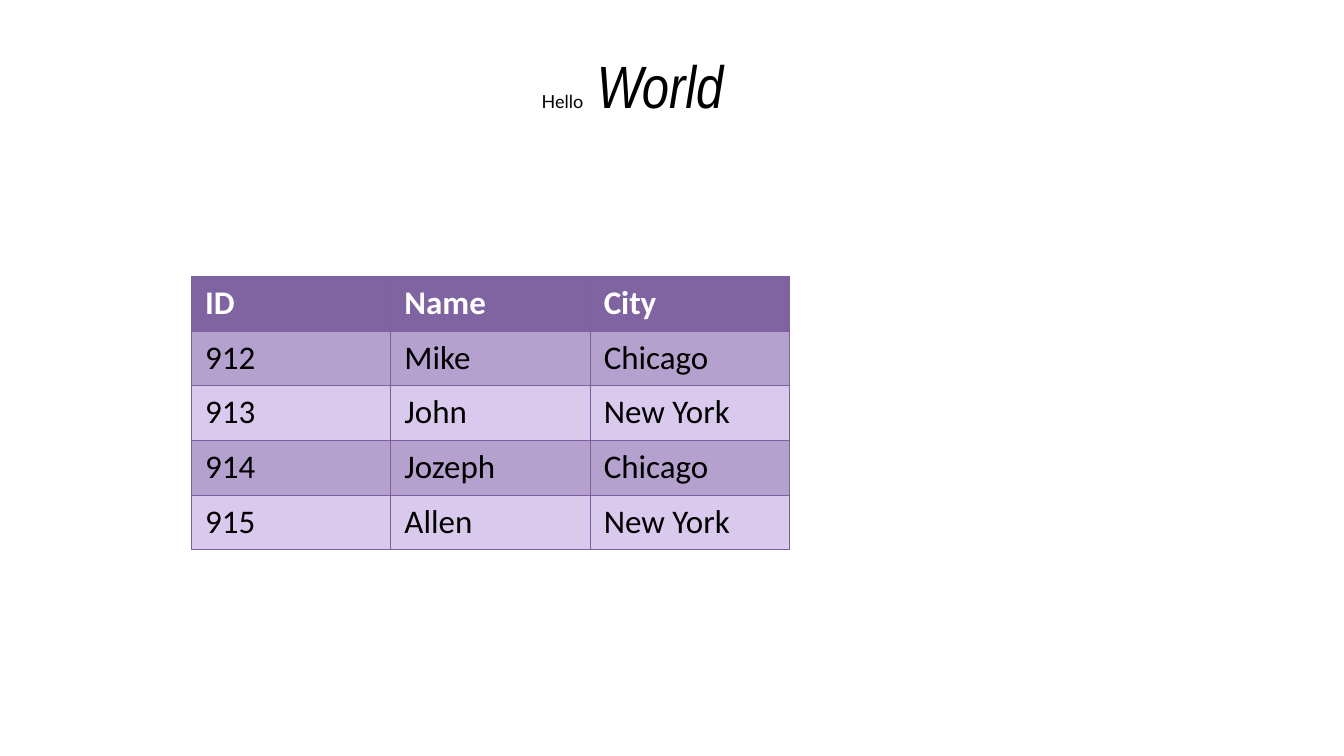
from lxml.etree import SubElement
from pptx import Presentation
from pptx.dml.color import RGBColor
from pptx.enum.text import PP_ALIGN
from pptx.oxml.ns import qn
from pptx.util import Pt

# Content
TITLE = [("Hello", "Lato", 18, False), (" ", "Calibri", 59.7, False),
         ("World", "Arial Narrow", 59.7, True)]
ROWS = [("ID", "Name", "City"),
        ("912", "Mike", "Chicago"),
        ("913", "John", "New York"),
        ("914", "Jozeph", "Chicago"),
        ("915", "Allen", "New York")]

# Colours
BLACK = RGBColor(0x00, 0x00, 0x00)
WHITE = RGBColor(0xFF, 0xFF, 0xFF)
HEAD = RGBColor(0x80, 0x64, 0xA2)
DARK = RGBColor(0xB4, 0xA1, 0xCE)
LIGHT = RGBColor(0xD9, 0xCA, 0xED)
EDGE = RGBColor(0x7D, 0x60, 0xA0)

# Layout in points
LEFT = 191.5
COL_W, ROW_H = 199.3, 54.6
PAD_X, PAD_Y = 13.7, 6.8


def add_title(slide):
    box = slide.shapes.add_textbox(Pt(LEFT), Pt(42.5), Pt(882), Pt(85.7))
    frame = box.text_frame
    frame.word_wrap = True
    frame.margin_left = frame.margin_right = Pt(PAD_X)
    frame.margin_top = frame.margin_bottom = Pt(PAD_Y)
    par = frame.paragraphs[0]
    par.alignment = PP_ALIGN.CENTER
    par.font.color.rgb = BLACK
    for text, face, size, slant in TITLE:
        run = par.add_run()
        run.text = text
        run.font.name = face
        run.font.size = Pt(size)
        run.font.italic = slant


def add_edges(cell):
    props = cell._tc.get_or_add_tcPr()
    for spot, side in enumerate(("lnL", "lnR", "lnT", "lnB")):
        line = SubElement(props, qn("a:" + side), w=str(Pt(0.75)))
        fill = SubElement(line, qn("a:solidFill"))
        SubElement(fill, qn("a:srgbClr"), val=str(EDGE))
        props.insert(spot, line)


def style_cell(cell, text, row):
    cell.margin_left = cell.margin_right = Pt(PAD_X)
    cell.margin_top = cell.margin_bottom = Pt(PAD_Y)
    cell.fill.solid()
    cell.fill.fore_color.rgb = HEAD if row == 0 else DARK if row % 2 else LIGHT
    cell.text = text
    font = cell.text_frame.paragraphs[0].font
    font.name = "Calibri"
    font.size = Pt(33)
    font.bold = row == 0
    font.color.rgb = WHITE if row == 0 else BLACK
    add_edges(cell)


def add_people(slide):
    rows, cols = len(ROWS), len(ROWS[0])
    table = slide.shapes.add_table(rows, cols, Pt(LEFT), Pt(276.5),
                                   Pt(cols * COL_W), Pt(rows * ROW_H)).table
    for col in table.columns:
        col.width = Pt(COL_W)
    for r, items in enumerate(ROWS):
        table.rows[r].height = Pt(ROW_H)
        for c, text in enumerate(items):
            style_cell(table.cell(r, c), text, r)


def main():
    deck = Presentation()
    deck.slide_width, deck.slide_height = Pt(1344), Pt(756)
    slide = deck.slides.add_slide(deck.slide_layouts[6])
    add_title(slide)
    add_people(slide)
    deck.save("out.pptx")


if __name__ == "__main__":
    main()
